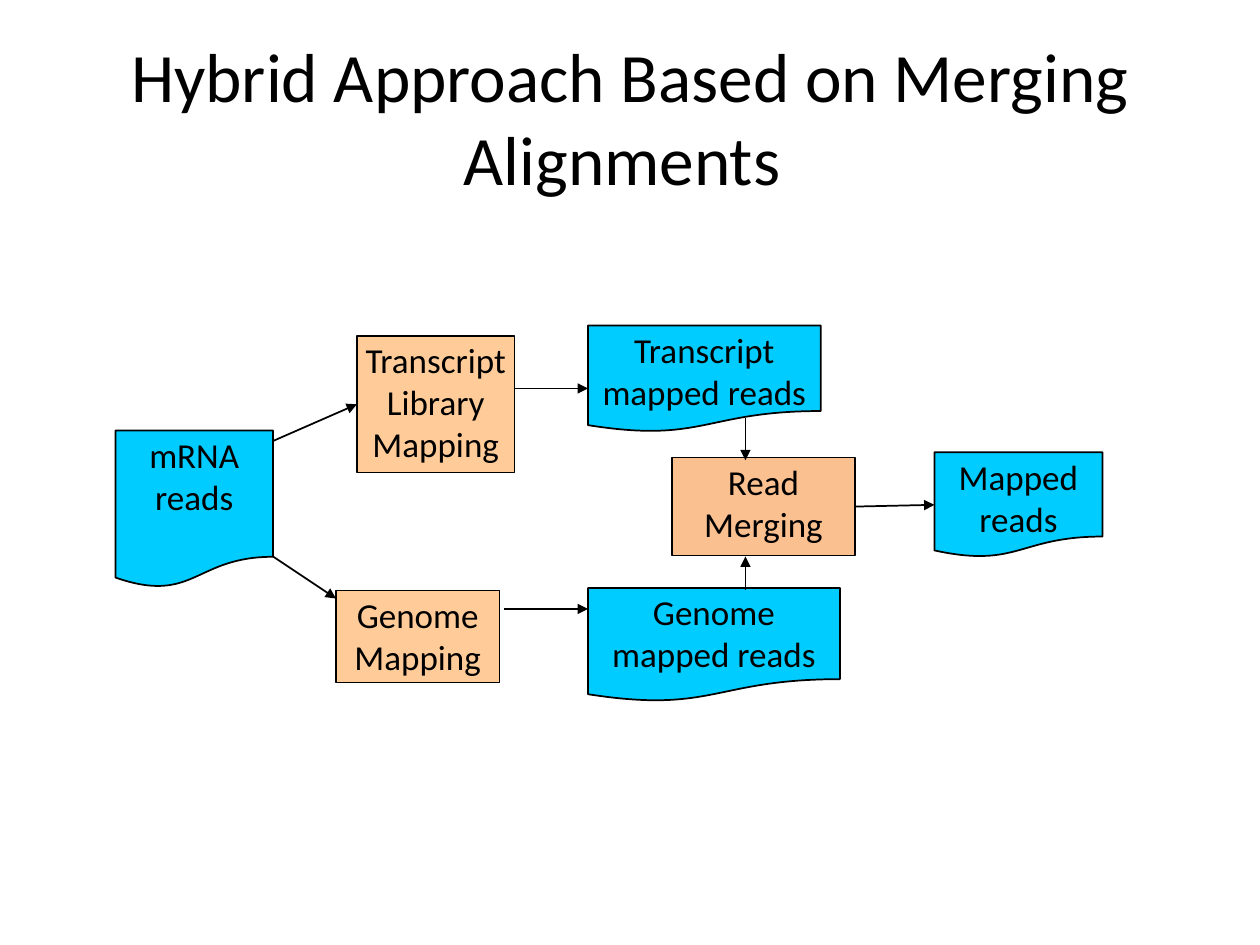
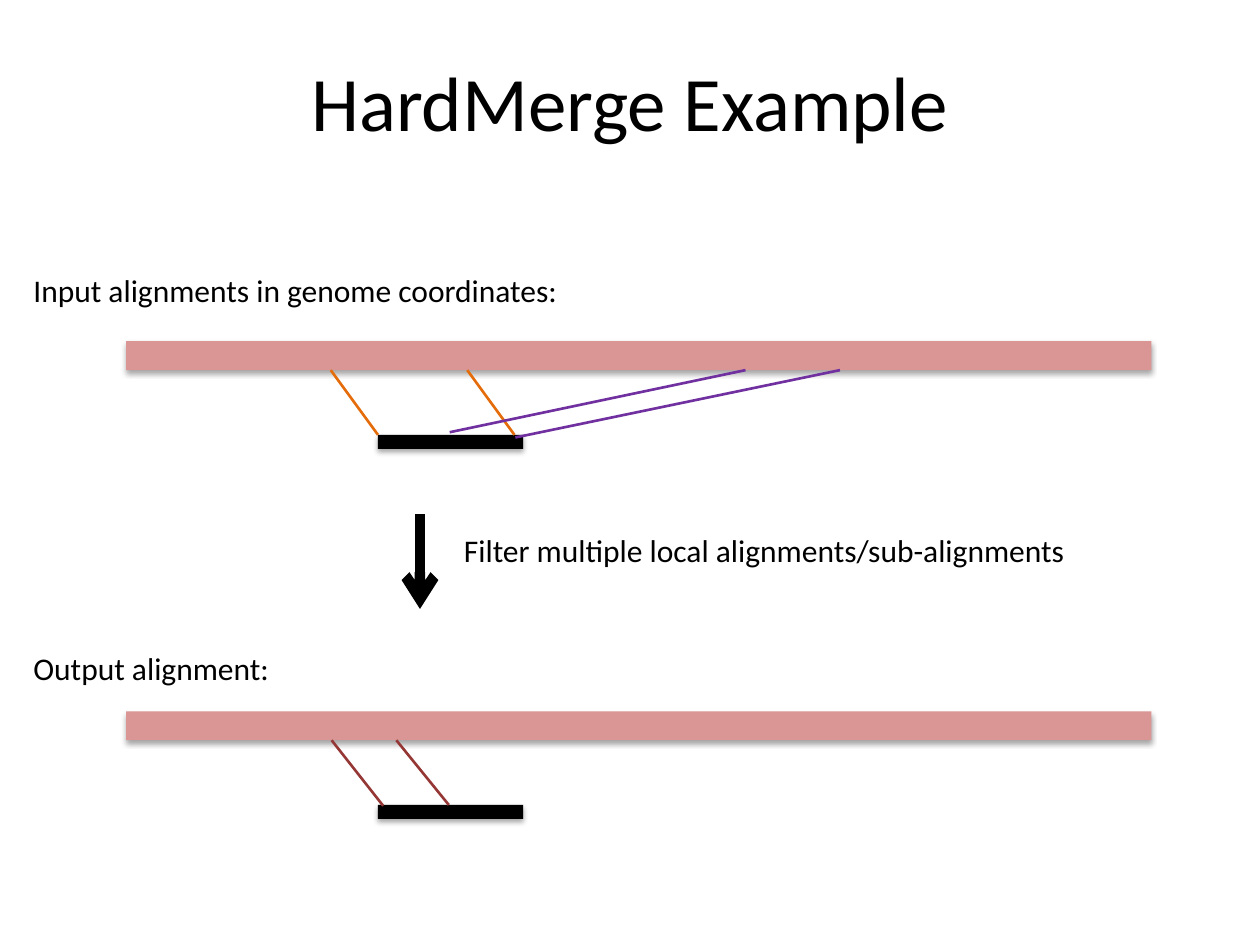
import pptx
import pptx.dml.color
import pptx.enum.shapes
import pptx.enum.text
import pptx.oxml.ns
import pptx.util
from lxml import etree

Pt = pptx.util.Pt
Shape = pptx.enum.shapes.MSO_SHAPE
Align = pptx.enum.text.PP_ALIGN
Anchor = pptx.enum.text.MSO_ANCHOR
qn = pptx.oxml.ns.qn

COLOURS = {
    "text": "000000",
    "data": "00CCFF",
    "step": "FFCC99",
    "merge": "FAC090",
    "genome": "D99694",
    "read": "000000",
    "first": "E46C0A",
    "second": "7030A0",
    "kept": "953735",
}
NODE_FRAME = {
    "word_wrap": True,
    "vertical_anchor": Anchor.TOP,
    "margin_left": Pt(3),
    "margin_right": Pt(3),
    "margin_top": Pt(1.5),
    "margin_bottom": Pt(1.5),
}
TITLE_FRAME = {"word_wrap": True, "vertical_anchor": Anchor.MIDDLE}
LABEL_FRAME = {
    "word_wrap": False,
    "auto_size": pptx.enum.text.MSO_AUTO_SIZE.SHAPE_TO_FIT_TEXT,
}


def colour(name):
    return pptx.dml.color.RGBColor.from_string(COLOURS[name])


def set_values(target, values):
    for name, value in values.items():
        setattr(target, name, value)


class SlideBuilder:
    def __init__(self, deck):
        self.deck = deck
        self.page = None

    def start_page(self, title, top, size):
        self.page = self.deck.slides.add_slide(self.deck.slide_layouts[6])
        box = self.page.shapes.add_textbox(Pt(36), Pt(top), Pt(648), Pt(90))
        self.add_text(box, [title], size, TITLE_FRAME, {"alignment": Align.CENTER})

    def add_text(self, box, lines, size, frame_values, para_values):
        """Fill the box with one paragraph a line and return the last one."""
        frame = box.text_frame
        set_values(frame, frame_values)
        for index, line in enumerate(lines):
            para = frame.add_paragraph() if index else frame.paragraphs[0]
            set_values(para, para_values)
            span = para.add_run()
            span.text = line
            set_values(span.font, {"name": "Calibri", "size": Pt(size)})
            span.font.color.rgb = colour("text")
        return para

    def label(self, text, left, top, width):
        box = self.page.shapes.add_textbox(Pt(left), Pt(top), Pt(width), Pt(29))
        self.add_text(box, [text], 18, LABEL_FRAME, {"alignment": Align.LEFT})

    def filled(self, kind, place, fill):
        shape = self.page.shapes.add_shape(kind, *map(Pt, place))
        shape.shadow.inherit = False
        shape.fill.solid()
        shape.fill.fore_color.rgb = colour(fill)
        return shape

    def node(self, kind, place, fill, *lines):
        """Add an outlined flow chart box with centred text."""
        shape = self.filled(kind, place, fill)
        shape.line.color.rgb = colour("text")
        shape.line.width = Pt(1)
        last = self.add_text(shape, lines, 20, NODE_FRAME, {"alignment": Align.CENTER})
        last.space_after = Pt(10)
        return shape

    def document(self, place, text):
        return self.node(Shape.FLOWCHART_DOCUMENT, place, "data", text)

    def process(self, place, fill, *lines):
        return self.node(Shape.FLOWCHART_PROCESS, place, fill, *lines)

    def bar(self, place, fill):
        """Add a borderless bar with a soft shadow below it."""
        shape = self.filled(Shape.RECTANGLE, place, fill)
        shape.line.fill.background()
        effects = shape._element.spPr.find(qn("a:effectLst"))
        shadow = etree.SubElement(
            effects, qn("a:outerShdw"), blurRad=str(Pt(3.1)), dist=str(Pt(1.8)),
            dir="5400000", rotWithShape="0")
        tint = etree.SubElement(shadow, qn("a:srgbClr"), val="000000")
        etree.SubElement(tint, qn("a:alpha"), val="35000")

    def line(self, start, end, stroke="text", width=1, head=None):
        connector = self.page.shapes.add_connector(
            pptx.enum.shapes.MSO_CONNECTOR.STRAIGHT, *map(Pt, start + end))
        connector.line.color.rgb = colour(stroke)
        connector.line.width = Pt(width)
        properties = connector._element.spPr
        etree.SubElement(properties, qn("a:effectLst"))
        if head:
            etree.SubElement(properties.find(qn("a:ln")), qn("a:tailEnd"), type=head)
        return connector

    def alignment(self, top, links):
        """Draw a genome bar, a read below it and the lines that map one to the other."""
        genome_height, read_drop = 16.5, 53.5
        self.bar((72, top, 586, genome_height), "genome")
        self.bar((216, top + read_drop, 83, 8), "read")
        for stroke, genome_x, read_x, shift in links:
            self.line((read_x, top + read_drop + shift),
                      (genome_x, top + genome_height), stroke, 1.5)


def build_workflow(builder):
    builder.start_page("Hybrid Approach Based on Merging Alignments ", 21.6, 39.6)
    builder.document((66, 246, 90, 90), "mRNA reads")
    library = builder.process((204, 192, 90, 78), "step", "Transcript Library", "Mapping")
    builder.process((192, 337.5, 93.5, 52.5), "step", "Genome Mapping")
    merging = builder.process((384, 261.5, 104.5, 56), "merge", "Read Merging")
    builder.document((336, 186, 133, 61), "Transcript mapped reads")
    builder.document((336, 336, 144, 65), "Genome mapped reads")
    mapped = builder.document((534, 258.5, 96, 60), "Mapped reads")

    to_library = builder.line((156, 252), (204, 228), head="triangle")
    to_library.end_connect(library, 1)
    for start, end in [
        ((156, 318), (192, 342)),
        ((294, 222), (336, 222)),
        ((288, 348), (336, 348)),
        ((426, 337), (426, 318)),
        ((426, 239), (426, 263)),
    ]:
        builder.line(start, end, head="triangle")
    to_mapped = builder.line((488, 289), (534, 289), head="triangle")
    to_mapped.begin_connect(merging, 3)
    to_mapped.end_connect(mapped, 1)


def build_hard_merge(builder):
    builder.start_page("HardMerge Example", 12.5, 44)
    builder.label("Input alignments in genome coordinates:", 12, 151.5, 317.5)
    builder.alignment(195, [
        ("first", 267, 294, 0),
        ("second", 426, 257, -1.5),
        ("second", 480, 294.5, 1.5),
        ("first", 189, 216, 0),
    ])
    builder.line((240, 294), (240, 348), width=6, head="arrow")
    builder.label("Filter multiple local alignments/sub-alignments", 258, 300, 361.5)
    builder.label("Output alignment:", 12, 367.5, 150.5)
    builder.alignment(406.5, [
        ("kept", 189.5, 219, 0.5),
        ("kept", 226.5, 256.5, 0),
    ])


def main():
    deck = pptx.Presentation()
    deck.slide_width, deck.slide_height = Pt(720), Pt(540)
    builder = SlideBuilder(deck)
    build_workflow(builder)
    build_hard_merge(builder)
    deck.save("out.pptx")


if __name__ == "__main__":
    main()
